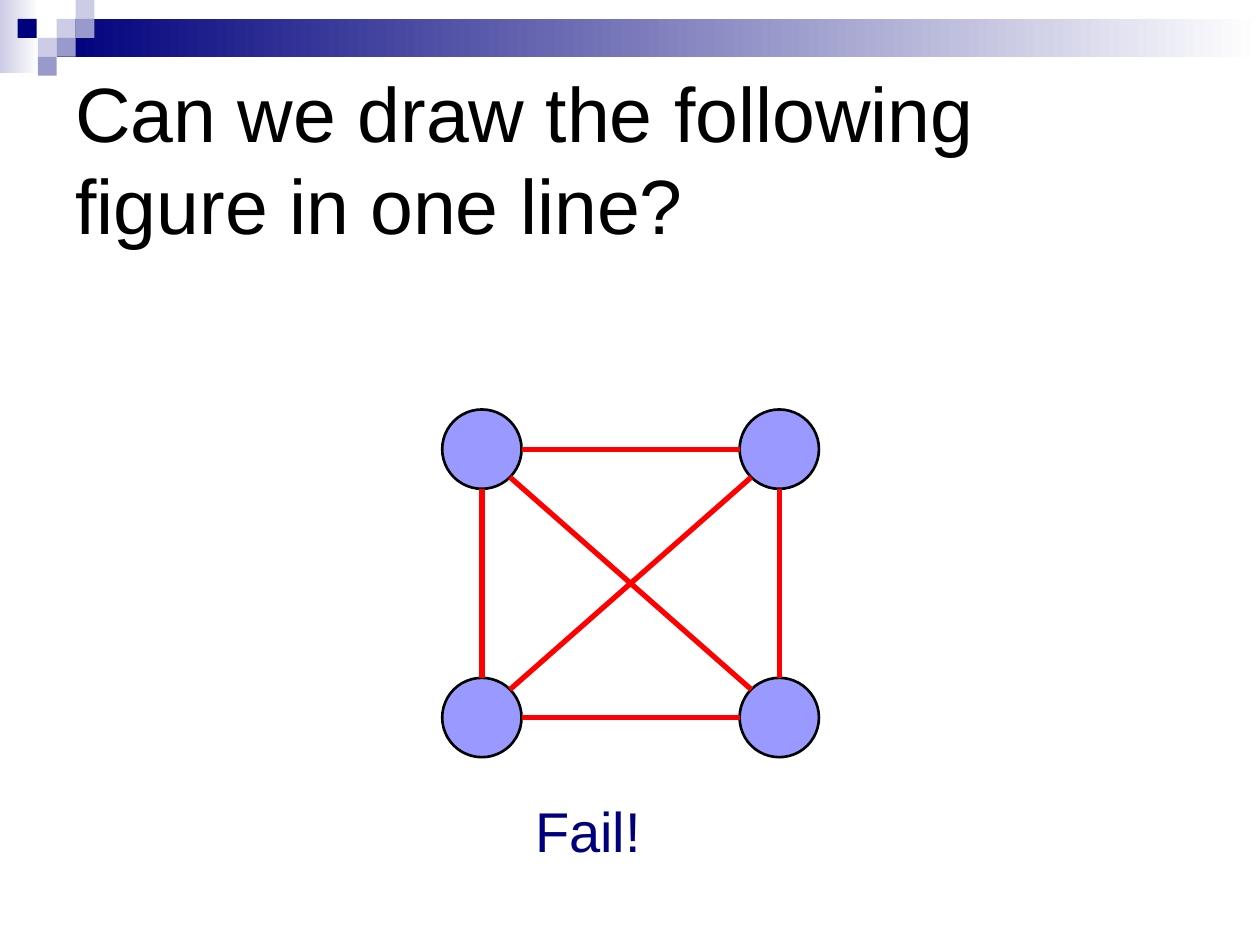
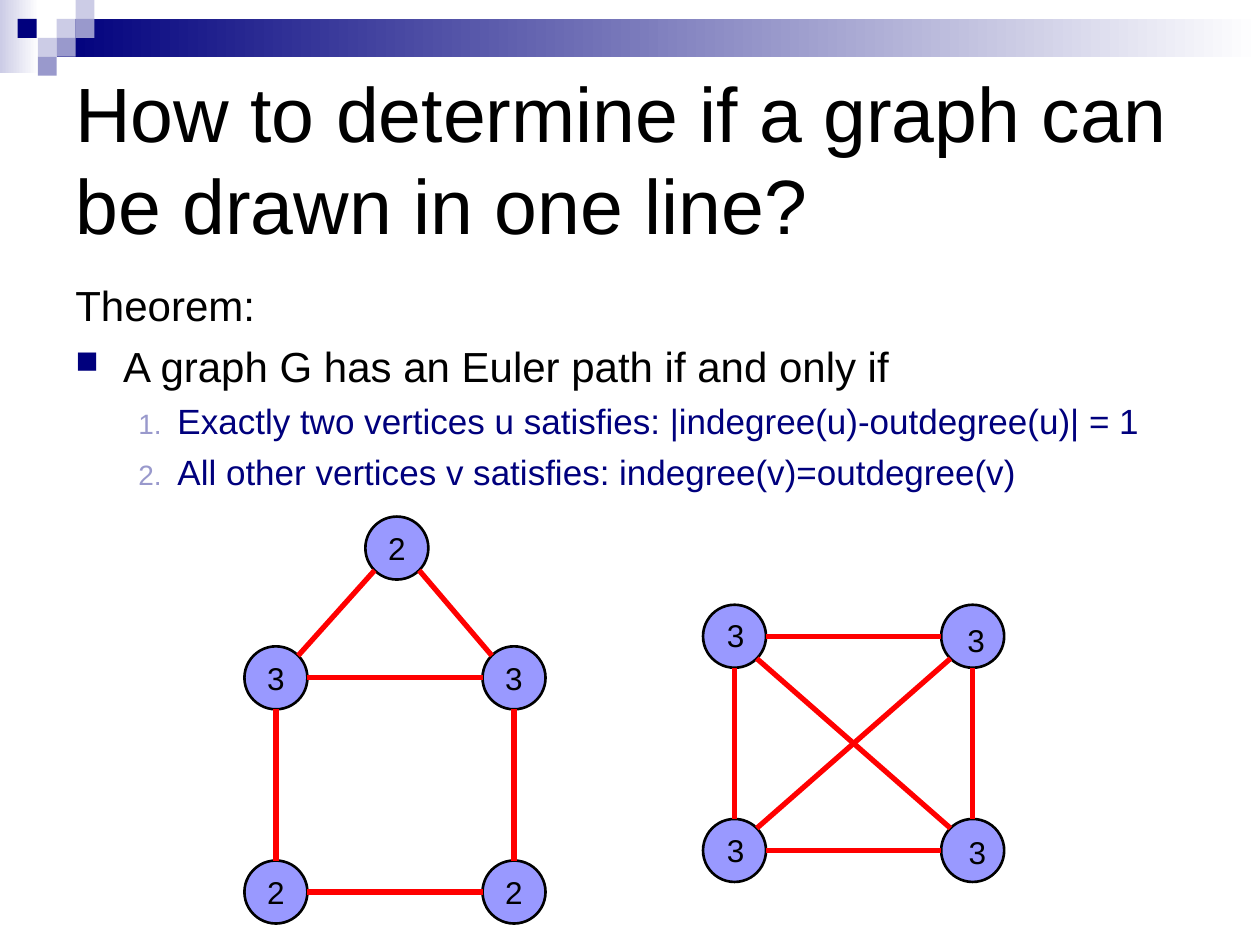
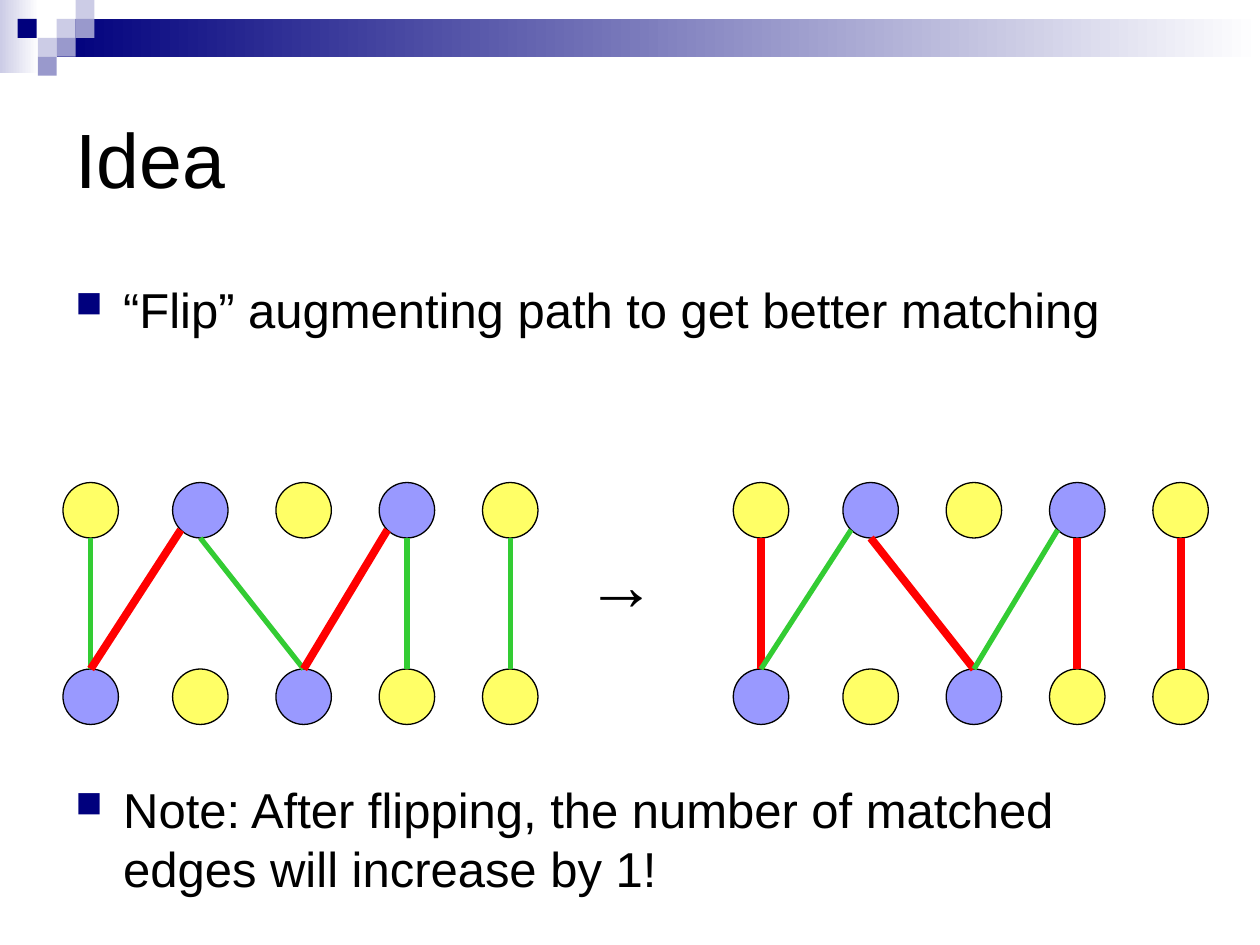
"""Builds three slides on Euler paths and augmenting paths."""
from math import atan2, cos, hypot, pi, sin

from lxml.etree import SubElement
from pptx import Presentation
from pptx.dml.color import RGBColor
from pptx.enum.shapes import MSO_CONNECTOR as Wire, MSO_SHAPE as Form
from pptx.enum.text import MSO_ANCHOR as Anchor, PP_ALIGN as Align
from pptx.oxml.ns import qn
from pptx.util import Inches, Pt

FONT = "Arial"
BLACK, WHITE, NAVY = "000000", "FFFFFF", "00007D"
PALE, MID = "CCCCE6", "9999CC"
BLUE, YELLOW, RED, GREEN = "9999FF", "FFFF66", "FF0000", "33CC33"

BANDS = [((0, 0, 0.31, 0.58), PALE), ((0.45, 0.15, 9.55, 0.3), NAVY)]
TILE = 0.15
TILES = [(0.45, 0.15, PALE), (0.6, 0, PALE), (0.6, 0.15, MID),
         (0.3, 0.3, PALE), (0.14, 0.15, NAVY), (0.45, 0.3, MID),
         (0.3, 0.45, MID)]

SQUARE = {"mark": "■", "tint": NAVY, "pct": 75}
NUMBER = {"mark": None, "tint": MID, "pct": 80}
HEAD = {"left": 0.38, "hang": -0.38, "size": 24, "before": 6}
ITEM = {**HEAD, "bullet": SQUARE}
STEP = {"left": 0.81, "hang": -0.31, "size": 20, "before": 5,
        "color": NAVY, "level": 1, "bullet": NUMBER}
POINT = {**ITEM, "size": 28, "before": 7}

THEOREM = [
    ("Theorem:", HEAD),
    ("A graph G has an Euler path if and only if", ITEM),
    ("Exactly two vertices u satisfies: |indegree(u)-outdegree(u)| = 1", STEP),
    ("All other vertices v satisfies: indegree(v)=outdegree(v)", STEP),
]
IDEA = [
    ("“Flip” augmenting path to get better matching", POINT),
    ("Note: After flipping, the number of matched edges will increase by 1!",
     {**POINT, "before": 252}),
]

CROSS = [(0, 2), (2, 3), (1, 3), (1, 0), (2, 1), (0, 3)]
HOUSE = [(0, 2), (2, 3), (1, 3), (1, 0), (0, 4), (4, 1)]
DEGREES = ["3", "3", "2", "2", "2"]
ROOF = (2.9, 4.1)
TAGS = [(5.67, 4.84), (5.67, 6.55), (7.59, 6.56), (7.58, 4.88)]

COLUMNS = [0.5, 1.37, 2.19, 3.01, 3.83]
ROWS = [(3.83, [YELLOW, BLUE, YELLOW, BLUE, YELLOW]),
        (5.31, [BLUE, YELLOW, BLUE, YELLOW, YELLOW])]
DOT = 0.44
FREE = [(0, 0), (1, 2), (3, 3), (4, 4)]
MATCHED = [(1, 0), (3, 2)]
THIN, THICK = (GREEN, 3), (RED, 4.5)
FLIPS = [(0, THIN, THICK), (5.32, THICK, THIN)]


def rgb(code):
    return RGBColor.from_string(code)


def put(obj, **vals):
    for key, val in vals.items():
        setattr(obj, key, val)


def mark(para, bullet):
    props = para._p.get_or_add_pPr()
    tint = SubElement(props, qn("a:buClr"))
    SubElement(tint, qn("a:srgbClr"), val=bullet["tint"])
    SubElement(props, qn("a:buSzPct"), val=str(bullet["pct"] * 1000))
    if bullet["mark"]:
        SubElement(props, qn("a:buChar"), char=bullet["mark"])
    else:
        SubElement(props, qn("a:buAutoNum"), type="arabicPeriod")


def write(frame, items, wrap=True, anchor=Anchor.TOP, align=Align.LEFT):
    put(frame, word_wrap=wrap, vertical_anchor=anchor)
    for i, (text, look) in enumerate(items):
        para = frame.add_paragraph() if i else frame.paragraphs[0]
        put(para, alignment=align, level=look.get("level", 0),
            space_before=Pt(look.get("before", 0)))
        props = para._p.get_or_add_pPr()
        props.set("marL", str(Inches(look.get("left", 0))))
        props.set("indent", str(Inches(look.get("hang", 0))))
        if "bullet" in look:
            mark(para, look["bullet"])
        run = para.add_run()
        run.text = text
        put(run.font, name=FONT, size=Pt(look["size"]), bold=look.get("bold"))
        run.font.color.rgb = rgb(look.get("color", BLACK))


def label(slide, box, items, **opts):
    area = slide.shapes.add_textbox(*map(Inches, box))
    write(area.text_frame, items, **opts)


def draw(slide, form, box, fill=None, line=0):
    shape = slide.shapes.add_shape(form, *map(Inches, box))
    shape.shadow.inherit = False
    if fill:
        shape.fill.solid()
        shape.fill.fore_color.rgb = rgb(fill)
    if line:
        shape.line.color.rgb = rgb(BLACK)
        shape.line.width = Pt(line)
    else:
        shape.line.fill.background()
    return shape


def node(slide, spot, size, fill, line, text=""):
    shape = draw(slide, Form.OVAL, (*spot, size, size), fill, line)
    if text:
        write(shape.text_frame, [(text, {"size": 18})], wrap=False,
              anchor=Anchor.MIDDLE, align=Align.CENTER)


def rim(spot, size, way):
    """Finds the point on a circle's edge that lies in a given direction."""
    far = hypot(*way)
    return [s + size / 2 * (1 + w / far) for s, w in zip(spot, way)]


def link(slide, start, end, color, width):
    wire = slide.shapes.add_connector(Wire.STRAIGHT, *map(Inches, start + end))
    wire.line.color.rgb = rgb(color)
    wire.line.width = Pt(width)
    SubElement(wire._element.spPr, qn("a:effectLst"))


def corners(left, top, wide, high):
    return [(left + x * wide, top + y * high) for y in (0, 1) for x in (0, 1)]


def graph(slide, spots, edges, size, texts=()):
    for i, spot in enumerate(spots):
        node(slide, spot, size, BLUE, 1.5, texts[i] if texts else "")
    for a, b in edges:
        (ax, ay), (bx, by) = spots[a], spots[b]
        turn = round(atan2(by - ay, bx - ax) / (pi / 4)) * pi / 4
        way = cos(turn), sin(turn)
        back = -way[0], -way[1]
        link(slide, rim(spots[a], size, way), rim(spots[b], size, back), RED, 3)


def match(slide, shift, free, matched):
    tops, lows = [[(x + shift, y) for x in COLUMNS] for y, _ in ROWS]
    for spots, (_, fills) in zip((tops, lows), ROWS):
        for spot, fill in zip(spots, fills):
            node(slide, spot, DOT, fill, 0.75)
    for edges, style in ((FREE, free), (MATCHED, matched)):
        for a, b in edges:
            way = (-1, 1) if b < a else (0, 1)
            link(slide, rim(tops[a], DOT, way),
                 rim(lows[b], DOT, (0, -1)), *style)


def page(deck, title):
    slide = deck.slides.add_slide(deck.slide_layouts[6])
    for box, tone in BANDS:
        fill = draw(slide, Form.RECTANGLE, box).fill
        fill.gradient()
        fill.gradient_angle = 0
        for stop, code, place in zip(fill.gradient_stops, (tone, WHITE), (0, 1)):
            stop.color.rgb = rgb(code)
            stop.position = place
    for x, y, tone in TILES:
        draw(slide, Form.RECTANGLE, (x, y, TILE, TILE), tone)
    label(slide, (0.5, 0.5, 9, 1.5), [(title, {"size": 44})],
          anchor=Anchor.MIDDLE)
    return slide


def main():
    deck = Presentation()
    put(deck, slide_width=Inches(10), slide_height=Inches(7.5))

    slide = page(deck, "Can we draw the following figure in one line?")
    graph(slide, corners(3.51, 3.25, 2.36, 2.13), CROSS, 0.63)
    label(slide, (4.15, 6.27, 1.04, 0.64),
          [("Fail!", {"size": 32, "color": NAVY})], wrap=False)

    slide = page(deck, "How to determine if a graph can be drawn in one line?")
    label(slide, (0.5, 2.17, 9, 4.25), THEOREM)
    graph(slide, corners(5.58, 4.8, 1.89, 1.7), CROSS, 0.5)
    for spot in TAGS:
        label(slide, (*spot, 0.34, 0.4), [("3", {"size": 18})], wrap=False)
    graph(slide, corners(1.94, 5.13, 1.89, 1.7) + [ROOF], HOUSE, 0.5, DEGREES)

    slide = page(deck, "Idea")
    label(slide, (0.5, 2.17, 9, 5), IDEA)
    for flip in FLIPS:
        match(slide, *flip)
    label(slide, (4.56, 4.24, 0.75, 0.77),
          [("→", {"size": 40, "bold": True})], wrap=False)

    deck.save("out.pptx")


if __name__ == "__main__":
    main()
